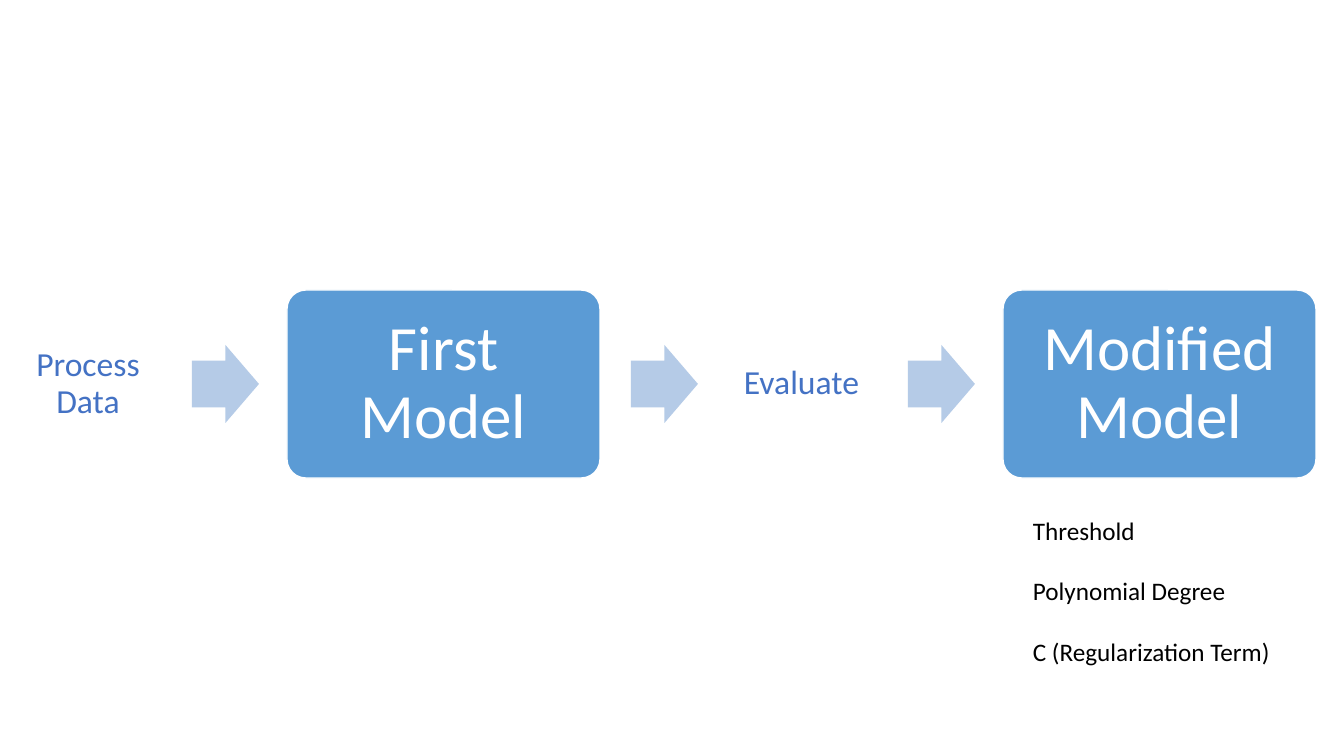
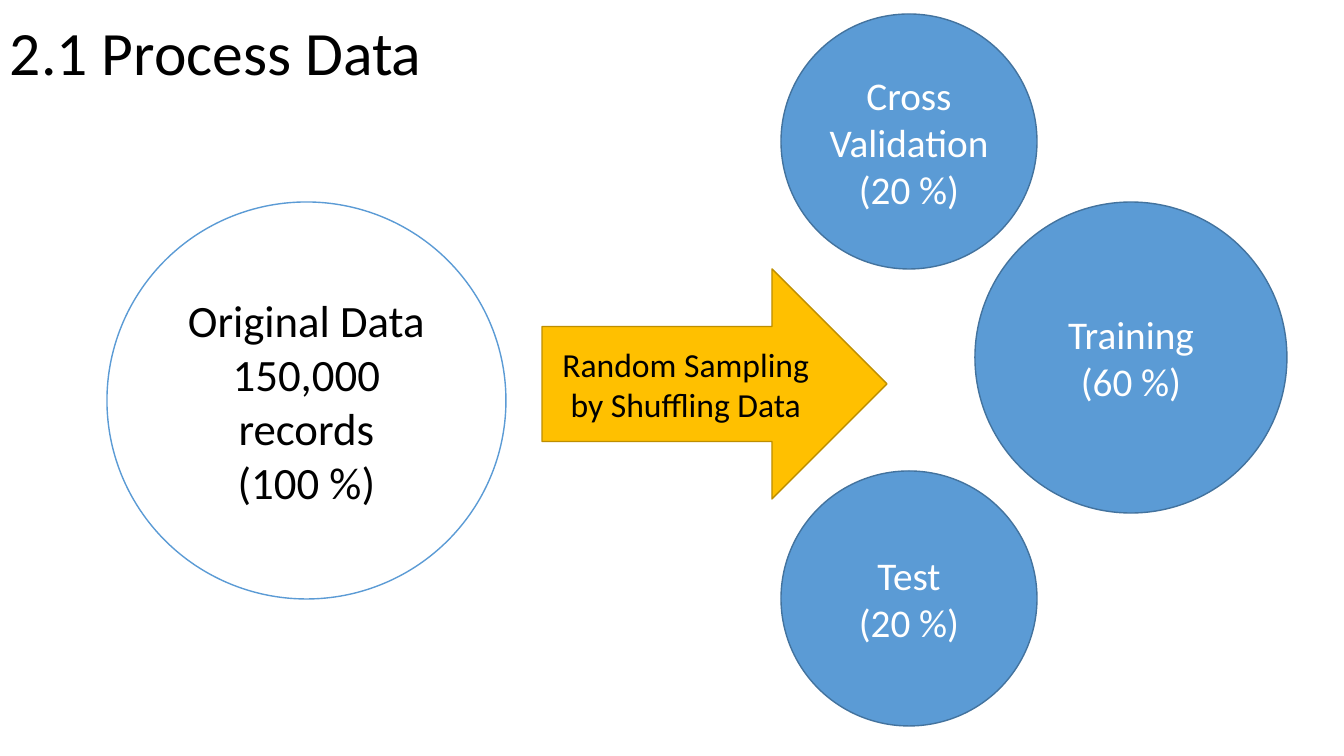
from pptx import Presentation
from pptx.dml.color import RGBColor
from pptx.enum.shapes import MSO_SHAPE
from pptx.enum.text import MSO_ANCHOR, PP_ALIGN
from pptx.util import Pt

WHITE = RGBColor(0xFF, 0xFF, 0xFF)
BLACK = RGBColor(0x00, 0x00, 0x00)
BLUE = RGBColor(0x5B, 0x9B, 0xD5)
DARK_BLUE = RGBColor(0x43, 0x73, 0x9E)
PALE_BLUE = RGBColor(0xB5, 0xCB, 0xE7)
TEXT_BLUE = RGBColor(0x44, 0x72, 0xC4)
GOLD = RGBColor(0xFF, 0xC0, 0x00)
DARK_GOLD = RGBColor(0xBD, 0x8E, 0x00)

FONT = "Calibri"
SLIDE_WIDTH, SLIDE_HEIGHT = 1344, 756


def px(length):
    """Turn pixels (100.8 to the inch) into EMU."""
    return round(length * 914400 / 100.8)


class Deck:
    def __init__(self):
        self.presentation = Presentation()
        self.presentation.slide_width = px(SLIDE_WIDTH)
        self.presentation.slide_height = px(SLIDE_HEIGHT)
        self.slide = None

    def new_slide(self):
        blank = self.presentation.slide_layouts[6]
        self.slide = self.presentation.slides.add_slide(blank)

    def set_text(self, frame, text, size, color, align=PP_ALIGN.CENTER,
                 anchor=MSO_ANCHOR.MIDDLE, spacing=1.0, gap=0):
        frame.text = text
        frame.word_wrap = True
        frame.vertical_anchor = anchor
        for paragraph in frame.paragraphs:
            paragraph.alignment = align
            paragraph.line_spacing = spacing
            paragraph.space_after = Pt(gap)
            for run in paragraph.runs:
                run.font.name = FONT
                run.font.size = Pt(size)
                run.font.color.rgb = color

    def shape(self, kind, box, fill=None, line=None, adjustments=()):
        shape = self.slide.shapes.add_shape(kind, *map(px, box))
        shape.shadow.inherit = False
        for index, value in enumerate(adjustments):
            shape.adjustments[index] = value
        if fill is None:
            shape.fill.background()
        else:
            shape.fill.solid()
            shape.fill.fore_color.rgb = fill
        if line is None:
            shape.line.fill.background()
        else:
            shape.line.color.rgb = line
            shape.line.width = Pt(1)
        return shape

    def text(self, box, text, size, **style):
        frame = self.slide.shapes.add_textbox(*map(px, box)).text_frame
        self.set_text(frame, text, size, BLACK, align=PP_ALIGN.LEFT, **style)

    def title(self, text):
        self.text((0, 14, 1159, 83), text, 44, spacing=0.9)

    def step(self, box, text, is_model):
        """Draw a process step: a filled box for a model, plain text otherwise."""
        fill, size, color, inset = (
            (BLUE, 45, WHITE, 19) if is_model else (None, 24, TEXT_BLUE, 10))
        step = self.shape(MSO_SHAPE.ROUNDED_RECTANGLE, box, fill, WHITE, [0.1])
        frame = step.text_frame
        frame.margin_left = frame.margin_right = px(inset)
        frame.margin_top = frame.margin_bottom = px(inset)
        self.set_text(frame, text, size, color, spacing=0.9)

    def circle(self, box, text, size=28, color=WHITE, fill=BLUE, line=DARK_BLUE):
        circle = self.shape(MSO_SHAPE.OVAL, box, fill, line)
        self.set_text(circle.text_frame, text, size, color)


def build_workflow(deck):
    deck.new_slide()
    steps = [
        ("Process Data", 146, False),
        ("First Model", 313, True),
        ("Evaluate", 151, False),
        ("Modified Model", 313, True),
    ]
    middle, step_height = 384, 188
    arrow_width, arrow_height = 67, 78
    gap_before_arrow, gap_after_arrow = 31, 28
    left = 15
    for number, (label, width, is_model) in enumerate(steps):
        if number:
            left += gap_before_arrow
            deck.shape(MSO_SHAPE.RIGHT_ARROW,
                       (left, middle - arrow_height // 2, arrow_width, arrow_height),
                       PALE_BLUE, adjustments=[0.6, 0.5])
            left += arrow_width + gap_after_arrow
        deck.step((left, middle - step_height // 2, width, step_height),
                  label, is_model)
        left += width
    deck.text((1023, 510, 277, 163),
              "Threshold\nPolynomial Degree\nC (Regularization Term)",
              18, anchor=MSO_ANCHOR.TOP, gap=21.6)


def build_data_split(deck):
    deck.new_slide()
    deck.title("2.1 Process Data")
    deck.circle((107, 202, 399, 397),
                "Original Data\n150,000 records\n(100 %)",
                size=32, color=BLACK, fill=WHITE, line=BLUE)
    subsets = [
        ("Cross Validation\n(20 %)", (781, 14, 256, 255)),
        ("Test\n(20 %)", (781, 471, 256, 255)),
        ("Training\n(60 %)", (975, 202, 312, 311)),
    ]
    for label, box in subsets:
        deck.circle(box, label)
    sampling = deck.shape(MSO_SHAPE.RIGHT_ARROW, (542, 269, 345, 230),
                          GOLD, DARK_GOLD)
    deck.set_text(sampling.text_frame, "Random Sampling by Shuffling Data",
                  24, BLACK)


def main():
    deck = Deck()
    build_workflow(deck)
    build_data_split(deck)
    deck.presentation.save("out.pptx")


if __name__ == "__main__":
    main()
